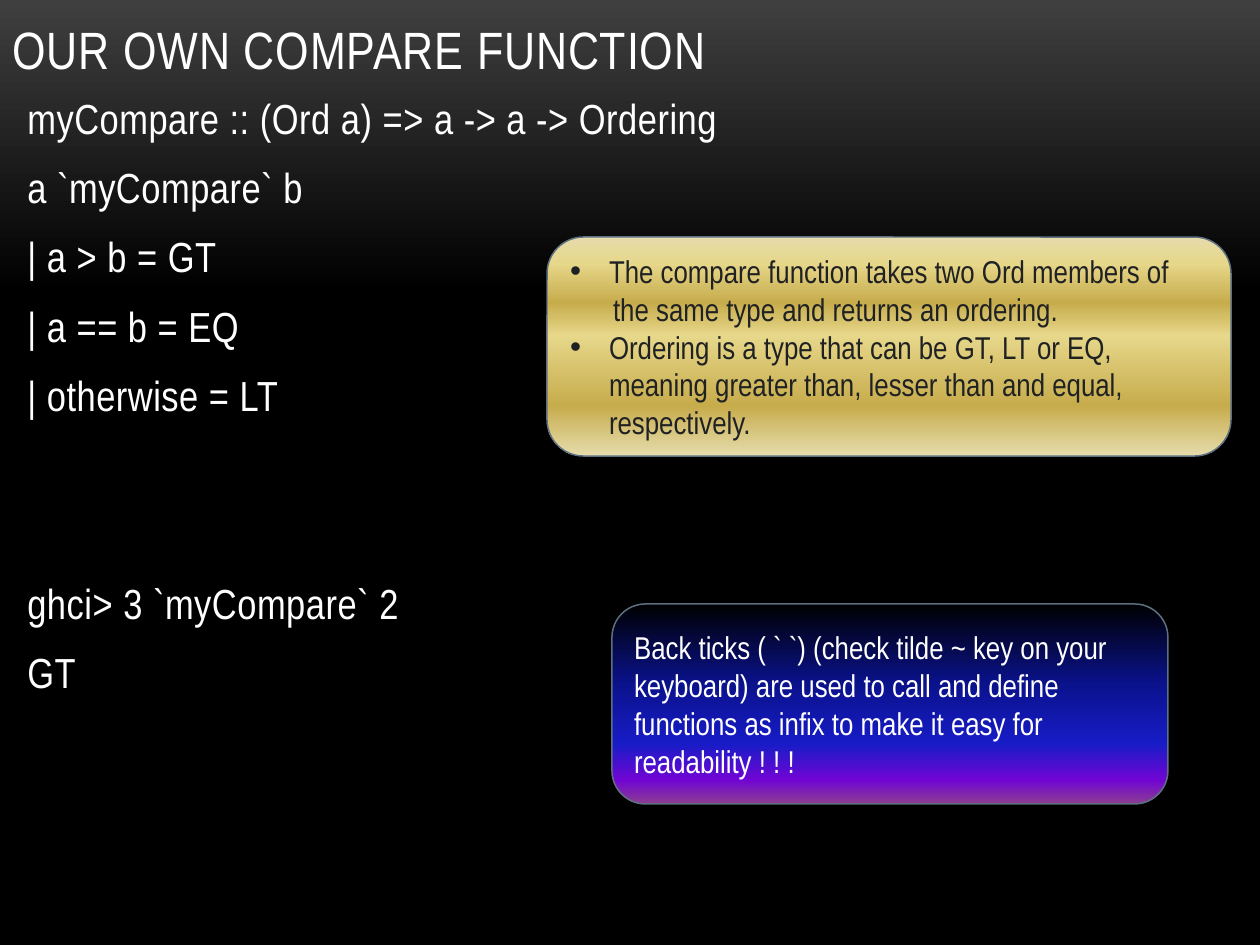
from lxml.etree import SubElement
from pptx import Presentation
from pptx.dml.color import RGBColor
from pptx.enum.shapes import MSO_SHAPE
from pptx.enum.text import MSO_ANCHOR, PP_ALIGN
from pptx.oxml.ns import qn
from pptx.util import Emu, Pt

PX_PER_INCH = 126
FONT = "Arial Narrow"
WHITE, INK, OUTLINE = "FFFFFF", "1F2123", "5D7080"
BACKDROP = [(0, "3F3F3F"), (31, "000000"), (100, "000000")]
BLUE = [(0, "000000"), (40, "0A128C"), (70, "181CC7"), (88, "7005D4"), (100, "8C3D91")]
GOLD = [(0, "E6DCAC"), (12, "E6D78A"), (30, "C7AC4C"),
        (45, "E6D78A"), (77, "C7AC4C"), (100, "E6DCAC")]

DEFINITION = [
    "myCompare :: (Ord a) => a -> a -> Ordering",
    "a `myCompare` b",
    "| a > b = GT",
    "| a == b = EQ",
    "| otherwise = LT",
]
SESSION = ["ghci> 3 `myCompare` 2", "GT"]
LINE_GAP, SESSION_GAP = 4.8, 84
BULLET_INDENT, CONTINUATION_INDENT = 39, 43


def px(length):
    return Emu(round(length * 914400 / PX_PER_INCH))


def color(value):
    return RGBColor.from_string(value)


def fill_gradient(fill, element, stops):
    """Fill from top to bottom with any number of (percent, colour) stops."""
    fill.gradient()
    fill.gradient_angle = 270
    stop_list = next(element.iter(qn("a:gsLst")))
    for old_stop in list(stop_list):
        stop_list.remove(old_stop)
    for percent, value in stops:
        stop = SubElement(stop_list, qn("a:gs"), pos=str(percent * 1000))
        SubElement(stop, qn("a:srgbClr"), val=value)


class SlideWriter:
    def __init__(self, page, font):
        self.page = page
        self.font = font

    def background(self, stops):
        fill_gradient(self.page.background.fill, self.page.element, stops)

    def text_box(self, left, top, width, height, anchor=MSO_ANCHOR.TOP):
        box = self.page.shapes.add_textbox(px(left), px(top), px(width), px(height))
        box.text_frame.word_wrap = True
        box.text_frame.vertical_anchor = anchor
        return box.text_frame

    def callout(self, left, top, width, height, stops):
        box = self.page.shapes.add_shape(
            MSO_SHAPE.FLOWCHART_ALTERNATE_PROCESS,
            px(left), px(top), px(width), px(height))
        box.shadow.inherit = False
        fill_gradient(box.fill, box.element, stops)
        box.line.color.rgb = color(OUTLINE)
        box.line.width = Pt(0.85)
        box.text_frame.word_wrap = True
        box.text_frame.vertical_anchor = MSO_ANCHOR.MIDDLE
        return box.text_frame

    def paragraph(self, frame, text, size, ink=WHITE, tracking=0,
                  before=0, after=0, indent=0, bullet=False):
        """Write into the frame's empty first paragraph, or add another."""
        para = frame.add_paragraph() if frame.text else frame.paragraphs[0]
        para.text = text
        para.alignment = PP_ALIGN.LEFT
        para.space_before, para.space_after = Pt(before), Pt(after)
        properties = para._p.get_or_add_pPr()
        properties.set("marL", str(px(indent)))
        properties.set("indent", str(-px(indent) if bullet else 0))
        if bullet:
            SubElement(properties, qn("a:buFont"), typeface="Arial")
            SubElement(properties, qn("a:buChar"), char="•")
        else:
            SubElement(properties, qn("a:buNone"))
        para.font.name = self.font
        para.font.size = Pt(size)
        para.font.color.rgb = color(ink)
        if tracking:
            properties.find(qn("a:defRPr")).set("spc", str(tracking))


def main():
    deck = Presentation()
    deck.slide_width, deck.slide_height = px(1260), px(945)
    writer = SlideWriter(deck.slides.add_slide(deck.slide_layouts[6]), FONT)
    writer.background(BACKDROP)

    title = writer.text_box(0, 0, 1092, 86, MSO_ANCHOR.BOTTOM)
    writer.paragraph(title, "OUR OWN COMPARE FUNCTION", 30, tracking=50)

    code = writer.text_box(15, 86, 1221, 833)
    for line in DEFINITION + SESSION:
        gap = SESSION_GAP if line == SESSION[0] else LINE_GAP
        writer.paragraph(code, line, 24, tracking=30, before=gap, after=6)

    infix_note = writer.callout(612, 604, 556, 200, BLUE)
    writer.paragraph(
        infix_note,
        "Back ticks ( ` `) (check tilde ~ key on your keyboard) are used to call "
        "and define functions as infix to make it easy for readability ! ! !", 18)

    ordering_note = writer.callout(547, 237, 684, 219, GOLD)
    for text, indent, bullet in [
        ("The compare function takes two Ord members of", BULLET_INDENT, True),
        ("the same type and returns an ordering.", CONTINUATION_INDENT, False),
        ("Ordering is a type that can be GT, LT or EQ, meaning greater than, "
         "lesser than and equal, respectively.", BULLET_INDENT, True),
    ]:
        writer.paragraph(ordering_note, text, 18, INK, indent=indent, bullet=bullet)

    deck.save("out.pptx")


if __name__ == "__main__":
    main()
